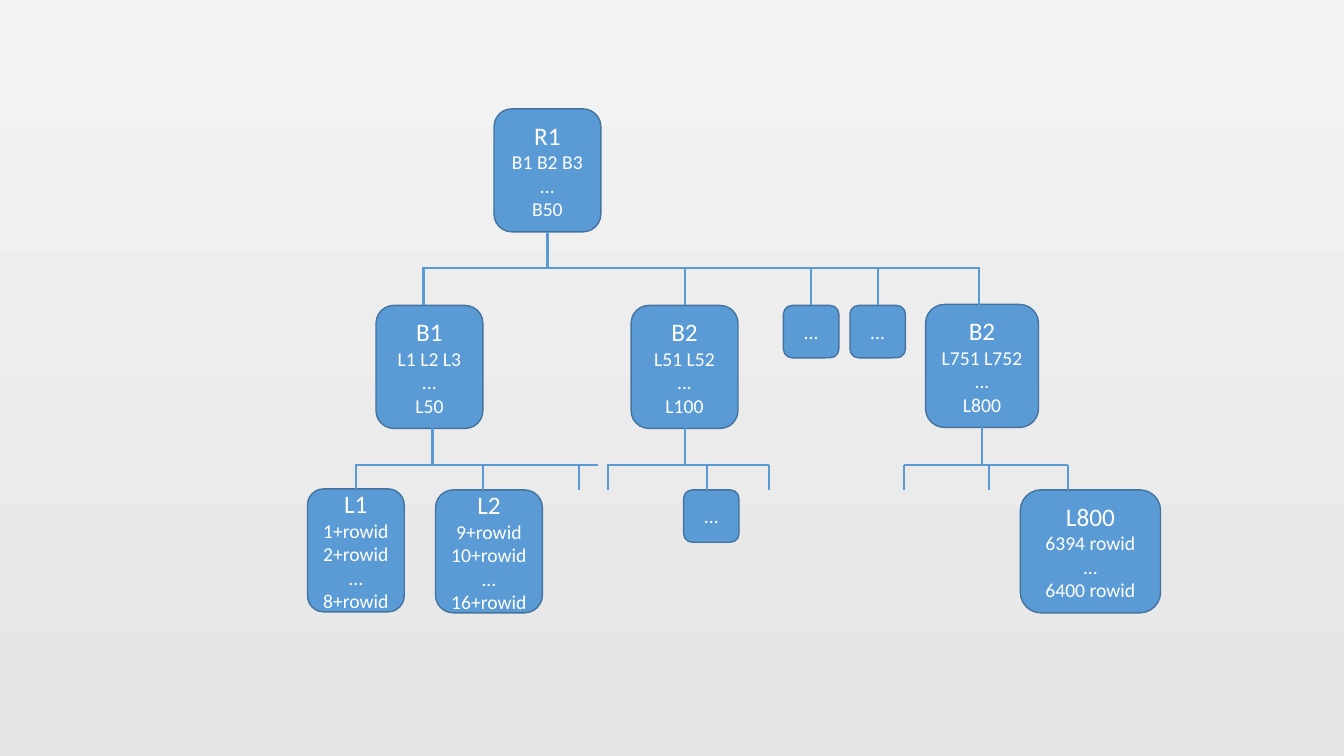
from lxml.etree import SubElement
from pptx import Presentation
from pptx.dml.color import RGBColor
from pptx.enum.shapes import MSO_CONNECTOR, MSO_SHAPE
from pptx.enum.text import MSO_ANCHOR, PP_ALIGN
from pptx.oxml.ns import qn
from pptx.util import Inches, Pt

BLUE = RGBColor(0x5B, 0x9B, 0xD5)
OUTLINE = RGBColor(0x43, 0x73, 0x9E)
WHITE = RGBColor(0xFF, 0xFF, 0xFF)
BG_TOP = RGBColor(0xF2, 0xF2, 0xF2)
BG_BOTTOM = RGBColor(0xE7, 0xE6, 0xE6)

NODE_H = 1.22
TOP, BOTTOM = 0, 2
BRANCH_RAIL, LEAF_RAIL = 2.66, 4.61
LEAF_TOP = 4.86


def set_background(s):
    """Fill the slide with a vertical grey gradient."""
    fill = s.background.fill
    fill.gradient()
    fill.gradient_angle = 270
    for stop, color in zip(fill.gradient_stops, (BG_TOP, BG_BOTTOM)):
        stop.color.rgb = color


def add_text(p, text, size=14, color=WHITE, font="Calibri"):
    """Write one centred, formatted line into a paragraph."""
    p.alignment = PP_ALIGN.CENTER
    r = p.add_run()
    r.text = text
    r.font.size = Pt(size)
    r.font.name = font
    r.font.color.rgb = color


def add_box(s, x, y, w, h, lines, title_size=18):
    """Add a rounded index block with a title line and detail lines."""
    sp = s.shapes.add_shape(MSO_SHAPE.ROUNDED_RECTANGLE,
                            Inches(x), Inches(y), Inches(w), Inches(h))
    sp.shadow.inherit = False
    sp.fill.solid()
    sp.fill.fore_color.rgb = BLUE
    sp.line.color.rgb = OUTLINE
    sp.line.width = Pt(1)
    tf = sp.text_frame
    tf.word_wrap = True
    tf.vertical_anchor = MSO_ANCHOR.MIDDLE
    for i, line in enumerate(lines):
        p = tf.add_paragraph() if i else tf.paragraphs[0]
        add_text(p, line, size=14 if i else title_size)
    return sp


def add_node(s, x, y, w, *lines):
    """Add a full-height tree node."""
    return add_box(s, x, y, w, NODE_H, lines)


def add_more(s, x, y):
    """Add a small block standing for omitted nodes."""
    return add_box(s, x, y, 0.55, 0.52, ["..."], title_size=14)


def add_line(s, x1, y1, x2, y2):
    """Add a plain blue connector."""
    cx = s.shapes.add_connector(MSO_CONNECTOR.STRAIGHT,
                                Inches(x1), Inches(y1), Inches(x2), Inches(y2))
    cx.line.color.rgb = BLUE
    cx.line.width = Pt(1.5)
    SubElement(cx._element.spPr, qn("a:effectLst"))
    return cx


def add_stem(s, box, site, rail_y):
    """Join the middle of a block's top or bottom side to a rail."""
    x = (box.left + box.width / 2) / Inches(1)
    add_line(s, x, rail_y, x, rail_y).begin_connect(box, site)


def main():
    """Build the index tree slide."""
    prs = Presentation()
    prs.slide_width, prs.slide_height = Inches(13.33), Inches(7.5)
    s = prs.slides.add_slide(prs.slide_layouts[6])
    set_background(s)

    root = add_node(s, 4.9, 1.08, 1.06, "R1", "B1 B2 B3", "...", "B50")
    add_node(s, 3.73, 3.03, 1.06, "B1", "L1 L2 L3", "...", "L50")
    middle = add_node(s, 6.26, 3.03, 1.06, "B2", "L51 L52", "...", "L100")
    last = add_node(s, 9.18, 3.02, 1.12, "B2", "L751 L752", "...", "L800")
    more = [add_more(s, x, 3.03) for x in (7.77, 8.43)]
    first_leaf = add_node(s, 3.05, 4.85, 0.96,
                          "L1", "1+rowid", "2+rowid", "...", "8+rowid")
    add_node(s, 4.32, LEAF_TOP, 1.06,
             "L2", "9+rowid", "10+rowid", "...", "16+rowid")
    add_more(s, 6.78, LEAF_TOP)
    add_node(s, 10.12, LEAF_TOP, 1.39, "L800", "6394 rowid", "...", "6400 rowid")

    add_line(s, 4.19, BRANCH_RAIL, 9.72, BRANCH_RAIL)
    for x1, x2 in ((3.52, 5.93), (6.02, 7.63), (8.97, 10.59)):
        add_line(s, x1, LEAF_RAIL, x2, LEAF_RAIL)

    add_stem(s, root, BOTTOM, BRANCH_RAIL)
    for box in (middle, *more):
        add_stem(s, box, TOP, BRANCH_RAIL)
    for box in (middle, last):
        add_stem(s, box, BOTTOM, LEAF_RAIL)
    add_stem(s, first_leaf, TOP, LEAF_RAIL)

    for x in (4.2, 9.71):
        add_line(s, x, BRANCH_RAIL, x, 3.03)
    add_line(s, 4.29, 4.25, 4.29, LEAF_RAIL)
    for x in (4.79, 5.74, 6.03, 7.01, 7.63, 8.97, 9.81, 10.59):
        add_line(s, x, LEAF_RAIL, x, LEAF_TOP)

    prs.save("out.pptx")


if __name__ == "__main__":
    main()
